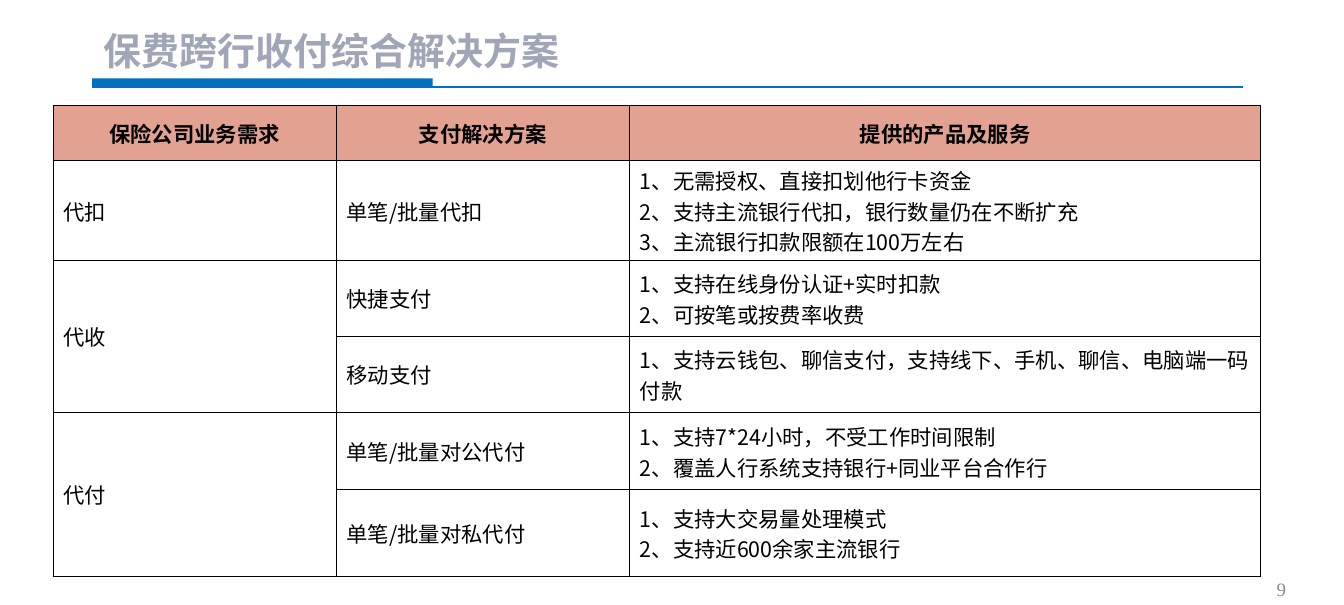
from lxml import etree
from pptx import Presentation
from pptx.dml.color import RGBColor
from pptx.enum.shapes import MSO_CONNECTOR, MSO_SHAPE
from pptx.enum.text import MSO_ANCHOR, PP_ALIGN
from pptx.oxml.ns import qn
from pptx.util import Inches, Pt

RECT = MSO_SHAPE.RECTANGLE
STRAIGHT = MSO_CONNECTOR.STRAIGHT
TOP, MIDDLE = MSO_ANCHOR.TOP, MSO_ANCHOR.MIDDLE
LEFT, CENTER, RIGHT = PP_ALIGN.LEFT, PP_ALIGN.CENTER, PP_ALIGN.RIGHT

BLACK = RGBColor(0x00, 0x00, 0x00)
BLUE = RGBColor(0x00, 0x70, 0xC0)
SALMON = RGBColor(0xE3, 0xA1, 0x92)
MIST = RGBColor(0xA0, 0xA5, 0xB8)
GRAY = RGBColor(0x8C, 0x8C, 0x8C)
SANS, SERIF = "Noto Sans CJK SC", "Times New Roman"

COLS = [3.32, 3.44, 7.39]
ROWS = [0.65, 1.17, 0.89, 0.89, 0.91, 1.01]
HEADS = ["保险公司业务需求", "支付解决方案", "提供的产品及服务"]
# Each need holds its solutions, each solution its service lines
NEEDS = [
    ("代扣", [
        ("单笔/批量代扣", ["1、无需授权、直接扣划他行卡资金",
                      "2、支持主流银行代扣，银行数量仍在不断扩充",
                      "3、主流银行扣款限额在100万左右"]),
    ]),
    ("代收", [
        ("快捷支付", ["1、支持在线身份认证+实时扣款",
                  "2、可按笔或按费率收费"]),
        ("移动支付", ["1、支持云钱包、聊信支付，支持线下、手机、聊信、电脑端一码付款"]),
    ]),
    ("代付", [
        ("单笔/批量对公代付", ["1、支持7*24小时，不受工作时间限制",
                        "2、覆盖人行系统支持银行+同业平台合作行"]),
        ("单笔/批量对私代付", ["1、支持大交易量处理模式",
                        "2、支持近600余家主流银行"]),
    ]),
]


def write(frame, lines, size, color, face=SANS, bold=False, align=LEFT):
    frame.word_wrap = True
    frame.text = "\n".join(lines)
    for para in frame.paragraphs:
        para.alignment = align
        font = para.font
        font.size, font.bold, font.name = Pt(size), bold, face
        font.color.rgb = color
        etree.SubElement(font._element, qn("a:ea"), typeface=face)


def add_text(slide, box, text, size, color, anchor=TOP, **style):
    frame = slide.shapes.add_textbox(*map(Inches, box)).text_frame
    write(frame, [text], size, color, **style)
    frame.vertical_anchor = anchor


def add_border(cell):
    props = cell._tc.get_or_add_tcPr()
    for i, side in enumerate(("lnL", "lnR", "lnT", "lnB")):
        line = etree.Element(qn("a:" + side), w=str(Pt(0.5)))
        fill = etree.SubElement(line, qn("a:solidFill"))
        etree.SubElement(fill, qn("a:srgbClr"), val=str(BLACK))
        props.insert(i, line)


def fill_cell(cell, lines, **style):
    write(cell.text_frame, lines, 18, BLACK, **style)
    cell.vertical_anchor = MIDDLE
    cell.margin_left = cell.margin_right = Inches(0.12)
    cell.margin_top, cell.margin_bottom = Inches(0.01), 0


def add_head(slide, left, top, width):
    # Title above a thin rule with a thick start
    add_text(slide, (left + 0.04, top, 9.22, 0.64), "保费跨行收付综合解决方案",
             32, MIST, bold=True)
    base = top + 0.75
    rule = slide.shapes.add_connector(
        STRAIGHT, *map(Inches, (left, base, left + width, base)))
    rule.line.color.rgb = BLUE
    rule.line.width = Pt(1.5)
    etree.SubElement(rule._element.spPr, qn("a:effectLst"))
    bar = slide.shapes.add_shape(
        RECT, *map(Inches, (left, base - 0.1, 3.99, 0.1)))
    bar.shadow.inherit = False
    bar.fill.solid()
    bar.fill.fore_color.rgb = BLUE
    bar.line.fill.background()


def add_grid(slide, left, top):
    box = map(Inches, (left, top, sum(COLS), sum(ROWS)))
    table = slide.shapes.add_table(len(ROWS), len(COLS), *box).table
    table.horz_banding = False
    for col, width in zip(table.columns, COLS):
        col.width = Inches(width)
    for row, height in zip(table.rows, ROWS):
        row.height = Inches(height)
    for cell in table.iter_cells():
        cell.fill.background()
        add_border(cell)

    # Header row
    for col, head in enumerate(HEADS):
        cell = table.cell(0, col)
        fill_cell(cell, [head], bold=True, align=CENTER)
        cell.fill.solid()
        cell.fill.fore_color.rgb = SALMON

    # Body rows, one need over all its solutions
    row = 1
    for need, plans in NEEDS:
        first = table.cell(row, 0)
        if len(plans) > 1:
            first.merge(table.cell(row + len(plans) - 1, 0))
        fill_cell(first, [need])
        for plan, lines in plans:
            fill_cell(table.cell(row, 1), [plan])
            fill_cell(table.cell(row, 2), lines)
            row += 1


def main():
    deck = Presentation()
    deck.slide_width, deck.slide_height = Inches(15.75), Inches(7.09)
    slide = deck.slides.add_slide(deck.slide_layouts[6])
    add_grid(slide, 0.62, 1.23)
    add_head(slide, 1.08, 0.27, 13.49)
    # Page number
    add_text(slide, (11.63, 6.71, 3.54, 0.38), "9", 16, GRAY,
             anchor=MIDDLE, face=SERIF, align=RIGHT)
    deck.save("out.pptx")


if __name__ == "__main__":
    main()
